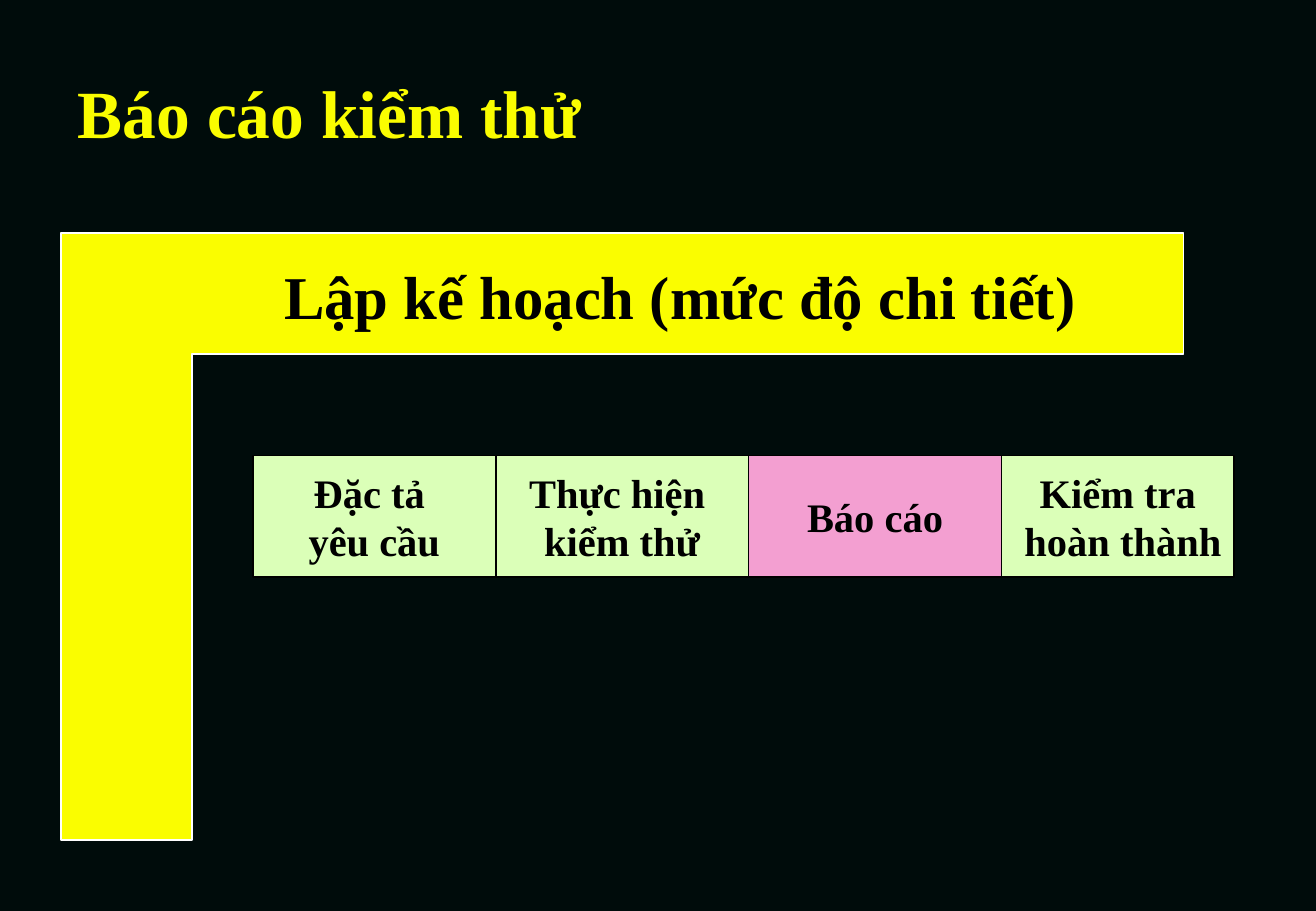
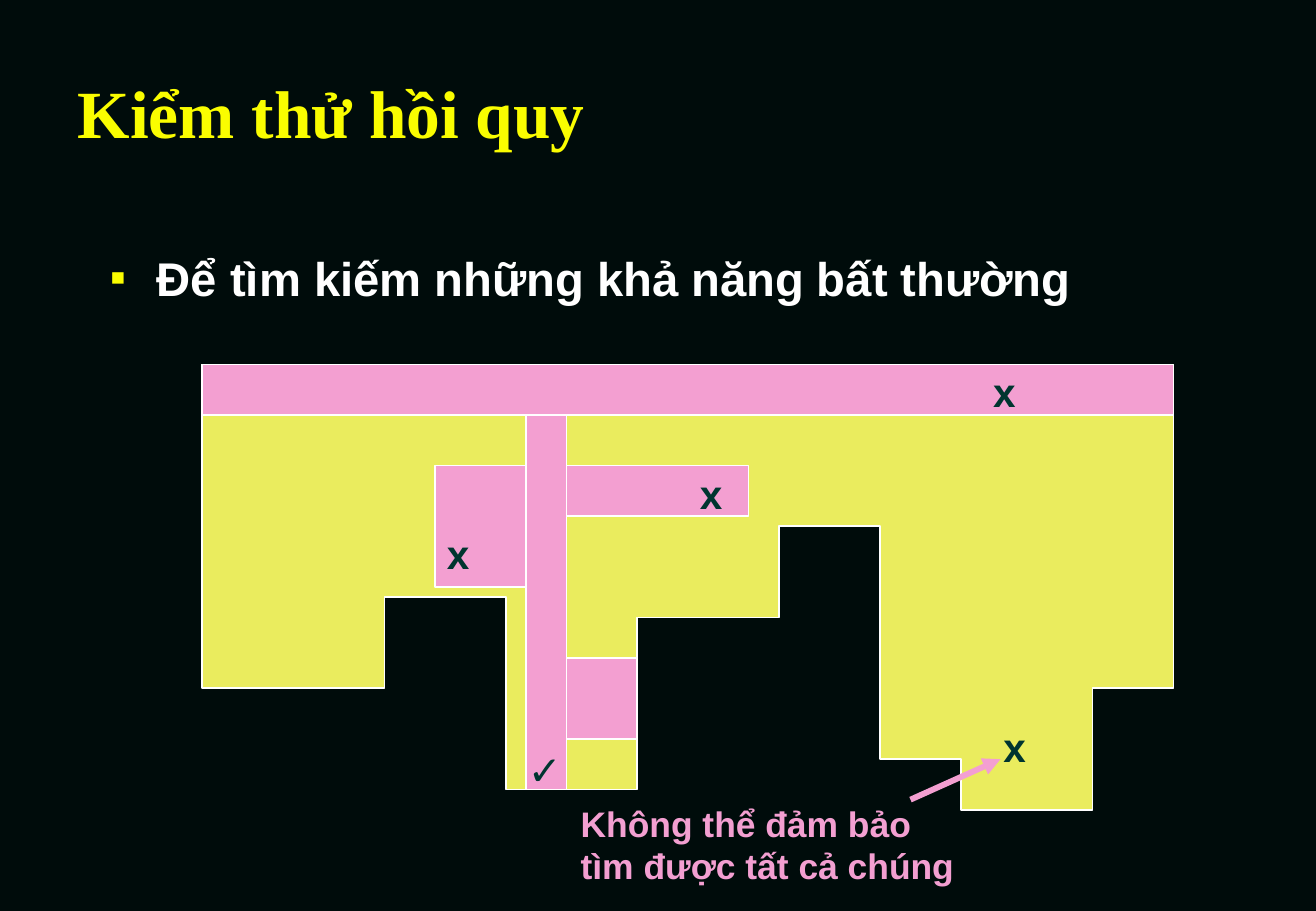
from lxml import etree
from pptx import Presentation
from pptx.dml.color import RGBColor
from pptx.enum.shapes import MSO_CONNECTOR, MSO_SHAPE
from pptx.enum.text import MSO_ANCHOR, MSO_AUTO_SIZE, PP_ALIGN
from pptx.oxml.ns import qn
from pptx.util import Inches, Pt

RECT = MSO_SHAPE.RECTANGLE
LINE = MSO_CONNECTOR.STRAIGHT
LEFT, MID = PP_ALIGN.LEFT, PP_ALIGN.CENTER
TOP, CENTER = MSO_ANCHOR.TOP, MSO_ANCHOR.MIDDLE
FIXED = MSO_AUTO_SIZE.NONE

HUE = {"night": "000C0B", "gold": "FAFD00", "lime": "DBFFB8", "pink": "F39FD1",
       "straw": "EAEC5E", "pine": "003530", "black": "000000", "white": "FFFFFF"}
SERIF, SANS = "Times New Roman", "Arial"
UNIT = Inches(1) // 12  # the grid step: twelve to the inch


def rgb(name):
    return RGBColor.from_string(HUE[name])


def grid(*cells):
    return [round(cell * UNIT) for cell in cells]


def place(shape, box):
    shape.left, shape.top, shape.width, shape.height = grid(*box)


def write(shape, text, size, font, hue, align=LEFT, anchor=TOP, wrap=True):
    frame = shape.text_frame
    frame.text = text
    frame.auto_size = FIXED
    frame.word_wrap = wrap
    frame.vertical_anchor = anchor
    for para in frame.paragraphs:
        para.alignment = align
        for run in para.runs:
            run.font.size, run.font.name, run.font.bold = Pt(size), font, True
            run.font.color.rgb = rgb(hue)
    return frame


def paint(shape, fill, edge):
    shape.shadow.inherit = False
    shape.fill.solid()
    shape.fill.fore_color.rgb = rgb(fill)
    shape.line.color.rgb = rgb(edge)
    shape.line.width = Pt(1)
    return shape


def block(slide, box, fill, edge):
    return paint(slide.shapes.add_shape(RECT, *grid(*box)), fill, edge)


def outline(slide, x, y, spots, fill):
    """Draw a closed outline from grid spots relative to x, y."""
    dots = [grid(x + dx, y + dy) for dx, dy in spots]
    pen = slide.shapes.build_freeform(*dots[0], scale=1.0)
    pen.add_line_segments(dots[1:], close=True)
    return paint(pen.convert_to_shape(), fill, "white")


def label(slide, box, text, size, font, hue):
    area = slide.shapes.add_textbox(*grid(*box))
    return write(area, text, size, font, hue, wrap=False)


def arrow(slide, start, end, hue):
    link = slide.shapes.add_connector(LINE, *grid(*start, *end))
    link.line.color.rgb = rgb(hue)
    link.line.width = Pt(3.5)
    props = link._element.spPr
    etree.SubElement(props.find(qn("a:ln")), qn("a:tailEnd"), type="triangle")
    etree.SubElement(props, qn("a:effectLst"))


def page(deck, layout, title):
    slide = deck.slides.add_slide(deck.slide_layouts[layout])
    place(slide.shapes.title, (6.5, 7, 110.5, 8))
    write(slide.shapes.title, title, 40, SERIF, "gold", anchor=CENTER)
    return slide


def bullet(slide, box, text):
    body = slide.placeholders[1]
    place(body, box)
    para = write(body, text, 28, SANS, "white").paragraphs[0]
    para.space_before = Pt(7)
    props = para._p.get_or_add_pPr()
    dent = Inches(0.38)
    props.set("marL", str(dent))
    props.set("indent", str(-dent))
    tint = etree.SubElement(props, qn("a:buClr"))
    etree.SubElement(tint, qn("a:srgbClr"), val=HUE["gold"])
    etree.SubElement(props, qn("a:buSzPct"), val="50000")
    etree.SubElement(props, qn("a:buChar"), char="■")


def plan(slide, x, y, wide, high):
    """Draw the planning bracket with its heading."""
    arm, stem = 12, 13
    outline(slide, x, y, [(0, 0), (wide, 0), (wide, arm), (stem, arm),
                          (stem, high), (0, high)], "gold")
    label(slide, (x + 20.9, y + 2, 80.6, 8.4), "Lập kế hoạch (mức độ chi tiết)",
          36, SERIF, "black")


def steps(slide, x, y, high):
    for wide, fill, text in [(24, "lime", "Đặc tả \nyêu cầu"),
                             (25, "lime", "Thực hiện \nkiểm thử"),
                             (25, "pink", "Báo cáo"),
                             (23, "lime", "Kiểm tra\n hoàn thành")]:
        cell = block(slide, (x, y, wide, high), fill, "black")
        write(cell, text, 24, SERIF, "black", MID, CENTER, wrap=False)
        x += wide


def system(slide, x, y):
    """Draw the system under test, its changed parts and the marks."""
    outline(slide, x, y, [
        (0, 0), (96, 0), (96, 32), (88, 32), (88, 44), (75, 44), (75, 39),
        (67, 39), (67, 16), (57, 16), (57, 25), (43, 25), (43, 42), (30, 42),
        (30, 23), (18, 23), (18, 32), (0, 32)], "straw")
    for dx, dy, wide, high in [(0, 0, 96, 5), (32, 5, 4, 37), (23, 10, 9, 12),
                               (36, 10, 18, 5), (36, 29, 7, 8)]:
        block(slide, (x + dx, y + dy, wide, high), "pink", "white")
    for dx, dy, sign in [(48, 9.7, "x"), (77, -0.3, "x"), (23, 15.7, "x"),
                         (78, 34.7, "x"), (31, 37, "✓")]:
        wide = 4.6 if sign == "x" else 5.5
        label(slide, (x + dx, y + dy, wide, 6), sign, 24, SANS, "pine")


def note(slide, x, y):
    frame = label(slide, (x, y, 37, 8.4),
                  "Không thể đảm bảo\ntìm được tất cả chúng", 21, SANS, "pink")
    frame.margin_left = frame.margin_right = 0
    frame.margin_top = frame.margin_bottom = 0
    arrow(slide, (x + 32.6, y - 0.2), (x + 41.5, y - 4.2), "pink")


def main():
    deck = Presentation()
    deck.slide_width, deck.slide_height = Inches(10.84), Inches(7.5)
    back = deck.slide_master.background.fill
    back.solid()
    back.fore_color.rgb = rgb("night")

    report = page(deck, 5, "Báo cáo kiểm thử")
    steps(report, 25, 45, 12)
    plan(report, 6, 23, 111, 60)

    retest = page(deck, 1, "Kiểm thử hồi quy")
    bullet(retest, (9.75, 24, 110.5, 56), "Để tìm kiếm những khả năng bất thường")
    system(retest, 20, 36)
    note(retest, 57.4, 79.2)
    deck.save("out.pptx")


if __name__ == "__main__":
    main()
